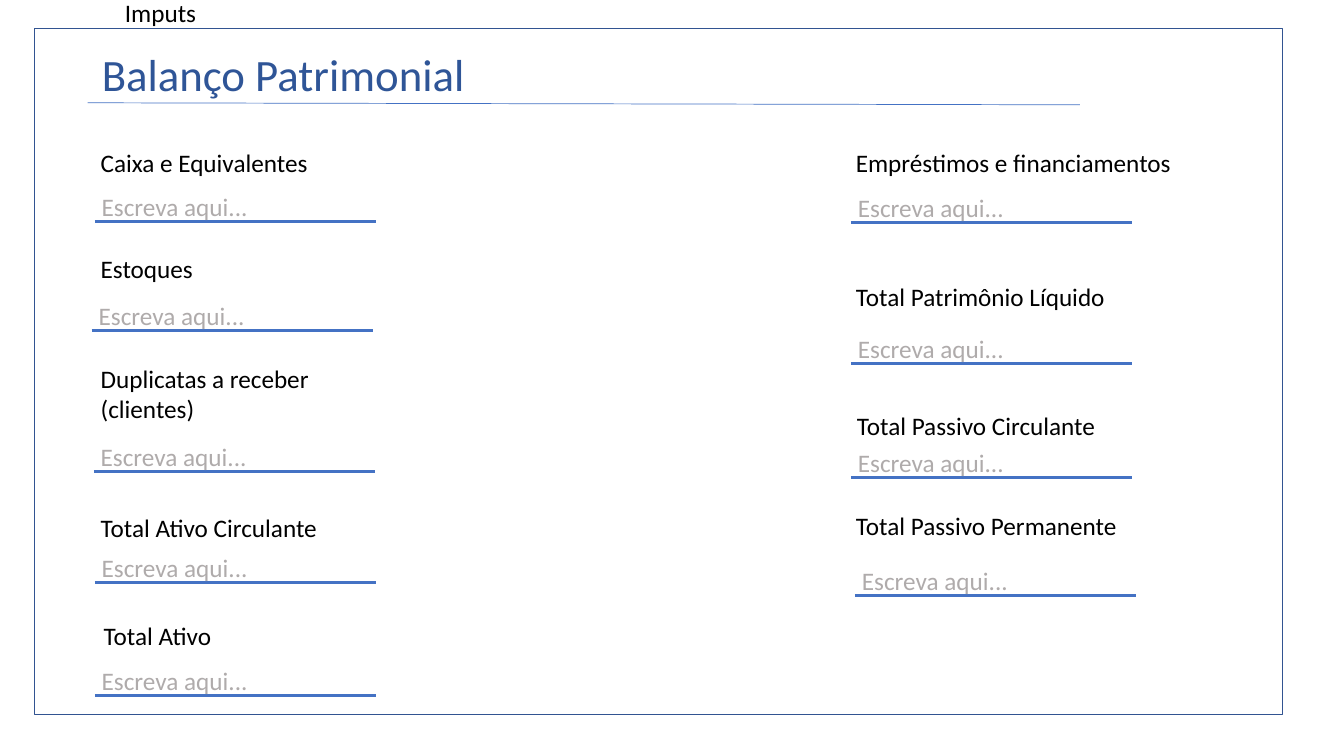
"""Build the balance sheet input form slide."""
import dataclasses

import pptx
import pptx.dml.color
import pptx.enum.shapes
import pptx.enum.text
import pptx.oxml.ns
import pptx.slide
import pptx.text.text
import pptx.util
from lxml import etree

Inches = pptx.util.Inches
INK = {"text": "000000", "hint": "AFABAB", "title": "2F5597",
       "frame": "325491", "rule": "4472C4"}
FONT = "Calibri"
HINT = "Escreva aqui..."
SPAN = 2.79


@dataclasses.dataclass(frozen=True)
class Box:
    left: float
    top: float
    width: float
    height: float = 0.4


@dataclasses.dataclass(frozen=True)
class Field:
    label: str
    box: Box
    left: float
    base: float


FIELDS = [
    Field("Caixa e Equivalentes", Box(0.9, 1.41, 2.37), 0.94, 2.2),
    Field("Estoques", Box(0.9, 2.46, 2.37), 0.91, 3.28),
    Field("Duplicatas a receber (clientes)", Box(0.9, 3.55, 2.95, 0.71), 0.93, 4.68),
    Field("Total Ativo Circulante", Box(0.9, 5.03, 2.37), 0.94, 5.78),
    Field("Total Ativo", Box(0.93, 6.1, 2.37), 0.94, 6.9),
    Field("Empréstimos e financiamentos", Box(8.39, 1.41, 3.57), 8.44, 2.21),
    Field("Total Patrimônio Líquido", Box(8.39, 2.74, 2.79), 8.44, 3.61),
    Field("Total Passivo Circulante", Box(8.4, 4.02, 3), 8.44, 4.74),
    Field("Total Passivo Permanente", Box(8.39, 5.01, 3), 8.48, 5.91),
]


def paint(name: str) -> pptx.dml.color.RGBColor:
    """Return the named colour."""
    return pptx.dml.color.RGBColor.from_string(INK[name])


def place(box: Box) -> tuple[int, int, int, int]:
    """Return the box as lengths."""
    return Inches(box.left), Inches(box.top), Inches(box.width), Inches(box.height)


def write(frame: pptx.text.text.TextFrame, words: str, ink: str, size: float = 18) -> None:
    """Put one formatted run into a text frame."""
    frame.word_wrap = True
    frame.vertical_anchor = pptx.enum.text.MSO_ANCHOR.TOP
    para = frame.paragraphs[0]
    para.alignment = pptx.enum.text.PP_ALIGN.LEFT
    run = para.add_run()
    run.text = words
    run.font.name = FONT
    run.font.size = pptx.util.Pt(size)
    run.font.color.rgb = paint(ink)


def add_text(slide: pptx.slide.Slide, words: str, box: Box, ink: str = "text") -> None:
    """Add a text box."""
    frame = slide.shapes.add_textbox(*place(box)).text_frame
    write(frame, words, ink)
    frame.auto_size = pptx.enum.text.MSO_AUTO_SIZE.SHAPE_TO_FIT_TEXT


def add_rule(slide: pptx.slide.Slide, start: tuple[float, float],
             end: tuple[float, float], weight: float) -> None:
    """Add a straight line without a shadow."""
    kind = pptx.enum.shapes.MSO_CONNECTOR.STRAIGHT
    rule = slide.shapes.add_connector(kind, *map(Inches, start + end))
    rule.line.color.rgb = paint("rule")
    rule.line.width = pptx.util.Pt(weight)
    etree.SubElement(rule._element.spPr, pptx.oxml.ns.qn("a:effectLst"))


def add_frame(slide: pptx.slide.Slide, box: Box) -> None:
    """Add the border around the form."""
    kind = pptx.enum.shapes.MSO_SHAPE.RECTANGLE
    frame = slide.shapes.add_shape(kind, *place(box))
    frame.shadow.inherit = False
    frame.fill.background()
    frame.line.color.rgb = paint("frame")
    frame.line.width = pptx.util.Pt(1)


def add_title(slide: pptx.slide.Slide, words: str, box: Box) -> None:
    """Move and fill the title."""
    title = slide.shapes.title
    title.left, title.top, title.width, title.height = place(box)
    write(title.text_frame, words, "title", 32)
    title.text_frame.auto_size = pptx.enum.text.MSO_AUTO_SIZE.SHAPE_TO_FIT_TEXT


def add_field(slide: pptx.slide.Slide, field: Field) -> None:
    """Add a label with its hint and rule."""
    add_text(slide, field.label, field.box)
    add_rule(slide, (field.left, field.base), (field.left + SPAN, field.base), 2.25)
    add_text(slide, HINT, Box(field.left - 0.03, field.base - 0.35, 2.51), "hint")


def main() -> None:
    """Build and save the slide."""
    deck = pptx.Presentation()
    deck.slide_width, deck.slide_height = Inches(13.33), Inches(7.5)
    slide = deck.slides.add_slide(deck.slide_layouts.get_by_name("Title Only"))
    add_frame(slide, Box(0.34, 0.28, 12.38, 6.81))
    add_text(slide, "Imputs", Box(1.14, -0.08, 1.01))
    add_title(slide, "Balanço Patrimonial", Box(0.91, 0.41, 9.93, 0.64))
    add_rule(slide, (0.87, 1.02), (10.71, 1.04), 0.5)
    for field in FIELDS:
        add_field(slide, field)
    deck.save("out.pptx")


if __name__ == "__main__":
    main()
